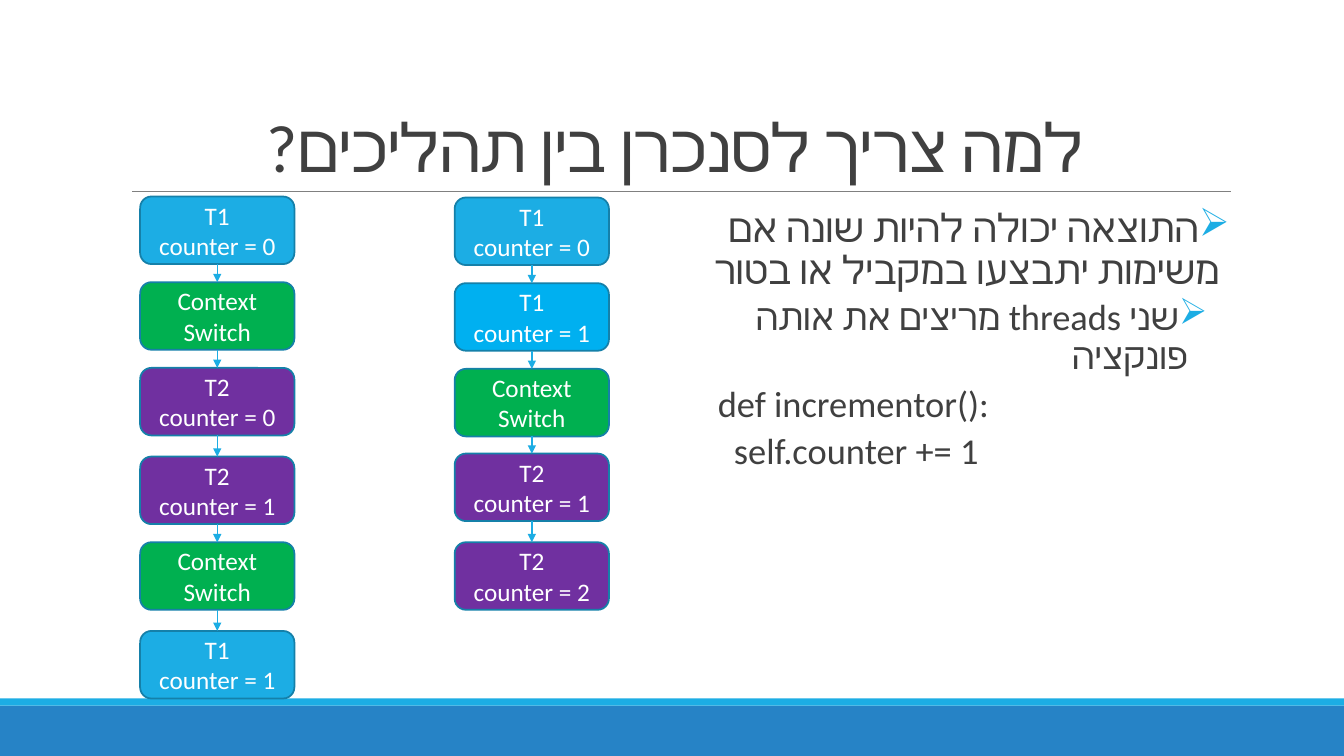
from lxml import etree
from pptx import Presentation
from pptx.dml.color import RGBColor
from pptx.enum.shapes import MSO_CONNECTOR, MSO_SHAPE
from pptx.enum.text import MSO_ANCHOR, MSO_AUTO_SIZE, PP_ALIGN
from pptx.oxml.ns import qn
from pptx.util import Inches, Pt

RECT, ROUNDED = MSO_SHAPE.RECTANGLE, MSO_SHAPE.ROUNDED_RECTANGLE
STRAIGHT = MSO_CONNECTOR.STRAIGHT
LEFT, CENTER, RIGHT = PP_ALIGN.LEFT, PP_ALIGN.CENTER, PP_ALIGN.RIGHT
FONT = "Calibri"
COLORS = {
    "band": "2683C6", "accent": "1CADE4", "rule": "808080", "text": "404040",
    "border": "1580A9", "t1": "1CADE4", "t1_next": "00B0F0",
    "switch": "00B050", "t2": "7030A0", "white": "FFFFFF",
}
BOX_W, BOX_H = 1.53, 0.67
SWITCH = ("Context Switch", "switch")

# Each step: offset from the top of the column, then text and colour
SWITCHED_RUN = [
    (0, "T1\ncounter = 0", "t1"),
    (0.85, *SWITCH),
    (1.7, "T2\ncounter = 0", "t2"),
    (2.58, "T2\ncounter = 1", "t2"),
    (3.43, *SWITCH),
    (4.31, "T1\ncounter = 1", "t1"),
]
SERIAL_RUN = [
    (0, "T1\ncounter = 0", "t1"),
    (0.85, "T1\ncounter = 1", "t1_next"),
    (1.7, *SWITCH),
    (2.54, "T2\ncounter = 1", "t2"),
    (3.42, "T2\ncounter = 2", "t2"),
]
# Text, size, right to left, level, margin, indent, space before, space after
BODY = [
    ("התוצאה יכולה להיות שונה אם משימות יתבצעו במקביל או בטור",
     28, True, 0, 0.1, -0.1, 12, 2),
    ("שני threads מריצים את אותה פונקציה", 26, True, 1, 0.42, -0.2, 2, 4),
    ("def incrementor():", 26, False, 1, 0.22, 0, 2, 4),
    ("self.counter += 1", 26, False, 1, 0.38, 0, 2, 4),
]


def rgb(name):
    return RGBColor.from_string(COLORS[name])


def format_runs(p, size, color):
    for r in p.runs:
        r.font.name, r.font.size = FONT, Pt(size)
        r.font.color.rgb = rgb(color)
        etree.SubElement(r.font._element, qn("a:cs"), typeface=FONT)


def add_box(shapes, kind, x, y, w, h, fill):
    sp = shapes.add_shape(kind, Inches(x), Inches(y), Inches(w), Inches(h))
    sp.shadow.inherit = False
    sp.fill.solid()
    sp.fill.fore_color.rgb = rgb(fill)
    sp.line.fill.background()
    return sp


def add_line(shapes, x1, y1, x2, y2, color, width):
    line = shapes.add_connector(STRAIGHT, Inches(x1), Inches(y1), Inches(x2), Inches(y2))
    line.line.color.rgb = rgb(color)
    line.line.width = Pt(width)
    etree.SubElement(line._element.spPr, qn("a:effectLst"))
    return line


def add_frame(s):
    """Bottom bands and the rule under the title."""
    add_box(s.shapes, RECT, 0, 7, 13.33, 0.5, "band")
    add_box(s.shapes, RECT, 0, 6.93, 13.33, 0.07, "accent")
    add_line(s.shapes, 1.31, 1.9, 12.21, 1.9, "rule", 0.5)


def add_title(s, x, y, w, h):
    sp = s.shapes.title
    sp.left, sp.top, sp.width, sp.height = Inches(x), Inches(y), Inches(w), Inches(h)
    tf = sp.text_frame
    tf.text = "למה צריך לסנכרן בין תהליכים?"
    tf.auto_size = MSO_AUTO_SIZE.NONE
    tf.vertical_anchor = MSO_ANCHOR.BOTTOM
    p = tf.paragraphs[0]
    p.alignment, p.line_spacing = CENTER, 0.85
    p._p.get_or_add_pPr().set("rtl", "1")
    format_runs(p, 48, "text")
    p.runs[0].font._element.set("spc", "-50")


def add_body(s, x, y, w, h):
    tf = s.shapes.add_textbox(Inches(x), Inches(y), Inches(w), Inches(h)).text_frame
    tf.word_wrap = True
    tf.margin_left = tf.margin_right = 0
    tf.text = "\n".join(row[0] for row in BODY)
    for p, (_, size, rtl, level, margin, indent, before, after) in zip(tf.paragraphs, BODY):
        p.level, p.line_spacing = level, 0.9
        p.alignment = RIGHT if rtl else LEFT
        p.space_before, p.space_after = Pt(before), Pt(after)
        pPr = p._p.get_or_add_pPr()
        pPr.set("marL", str(Inches(margin)))
        pPr.set("indent", str(Inches(indent)))
        if rtl:
            pPr.set("rtl", "1")
            bullet_color = etree.SubElement(pPr, qn("a:buClr"))
            etree.SubElement(bullet_color, qn("a:srgbClr"), val=COLORS["accent"])
            etree.SubElement(pPr, qn("a:buChar"), char="➢")
        format_runs(p, size, "text")


def add_run_column(s, x, y, steps):
    """One group of steps joined from top to bottom by arrows."""
    shapes = s.shapes.add_group_shape().shapes
    boxes = []
    for offset, text, fill in steps:
        sp = add_box(shapes, ROUNDED, x, y + offset, BOX_W, BOX_H, fill)
        sp.line.color.rgb = rgb("border")
        sp.line.width = Pt(1.25)
        tf = sp.text_frame
        tf.text = text
        tf.word_wrap = True
        tf.vertical_anchor = MSO_ANCHOR.MIDDLE
        for p in tf.paragraphs:
            p.alignment = CENTER
            format_runs(p, 18, "white")
        boxes.append(sp)
    for upper, lower in zip(boxes, boxes[1:]):
        arrow = add_line(shapes, x, y, x, y, "accent", 1)
        arrow.begin_connect(upper, 2)
        arrow.end_connect(lower, 0)
        etree.SubElement(arrow.line._get_or_add_ln(), qn("a:tailEnd"), type="triangle")


def main():
    prs = Presentation()
    prs.slide_width, prs.slide_height = Inches(13.33), Inches(7.5)
    s = prs.slides.add_slide(prs.slide_layouts[5])
    add_frame(s)
    add_title(s, 1.2, 0.31, 11, 1.59)
    add_body(s, 6.9, 2.02, 5.3, 4.4)
    add_run_column(s, 1.39, 1.95, SWITCHED_RUN)
    add_run_column(s, 4.51, 1.96, SERIAL_RUN)
    prs.save("out.pptx")


if __name__ == "__main__":
    main()
